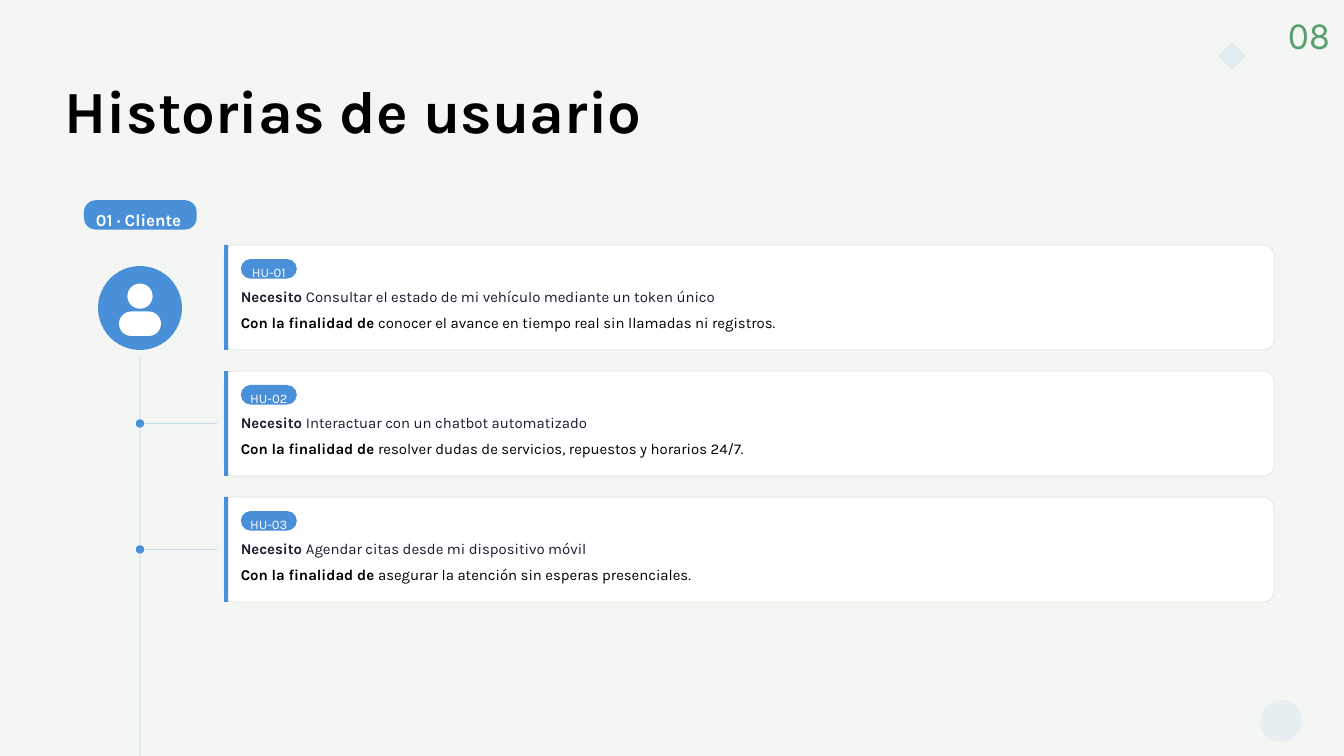
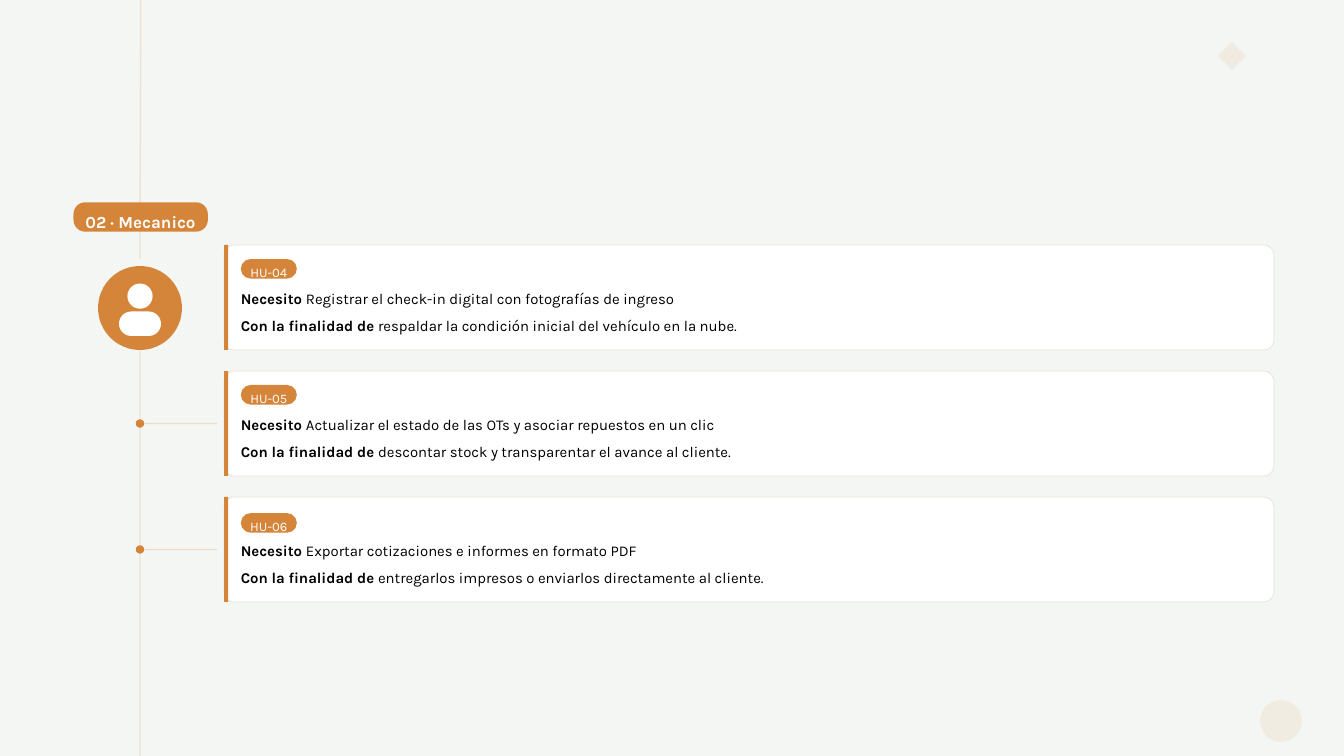
from dataclasses import dataclass
from typing import Optional

from lxml.etree import SubElement
from pptx import Presentation
from pptx.dml.color import RGBColor
from pptx.enum.shapes import MSO_CONNECTOR, MSO_SHAPE
from pptx.enum.text import MSO_ANCHOR, MSO_AUTO_SIZE, PP_ALIGN
from pptx.oxml.ns import qn
from pptx.shapes.autoshape import Shape
from pptx.slide import Slide
from pptx.text.text import TextFrame
from pptx.util import Emu, Pt

OVAL, DIAMOND = MSO_SHAPE.OVAL, MSO_SHAPE.DIAMOND
RECTANGLE, ROUNDED = MSO_SHAPE.RECTANGLE, MSO_SHAPE.ROUNDED_RECTANGLE
LEFT, CENTER = PP_ALIGN.LEFT, PP_ALIGN.CENTER
TITLE_ONLY, BLANK = 5, 6
EMU_PER_PX = 9525


@dataclass(frozen=True)
class Theme:
    background: str = "F4F6F3"
    white: str = "FFFFFF"
    black: str = "000000"
    navy: str = "1A1A2E"
    border: str = "E3E1DA"
    green: str = "5A9E72"
    blue: str = "4A90D9"
    light_blue: str = "A3C8ED"
    orange: str = "D4853A"
    light_orange: str = "E8C4A0"
    font: str = "Karla"
    number_font: str = "Inter"
    title_size: float = 64
    number_size: float = 36
    tag_size: float = 18.1
    story_size: float = 16
    badge_size: float = 14


THEME = Theme()


@dataclass(frozen=True)
class Box:
    left: int
    top: int
    width: int
    height: int

    def emu(self) -> tuple[Emu, ...]:
        return tuple(px(n) for n in (self.left, self.top, self.width, self.height))


@dataclass(frozen=True)
class Story:
    code: str
    need: str
    purpose: str
    badge_drop: int = 0


@dataclass(frozen=True)
class Role:
    tag: str
    tag_box: Box
    color: str
    light: str
    need_color: str
    need_offset: int
    rail_top: int
    disc_opacity: int
    stories: tuple[Story, ...]
    rail_above: bool = False
    title: Optional[str] = None
    number: Optional[str] = None


RAIL_X = 200
CARD = Box(320, 350, 1500, 150)
CARD_PITCH = 180
TEXT_LEFT = 344

ROLES = (
    Role("01 · Cliente", Box(120, 286, 161, 42), THEME.blue, THEME.light_blue,
         THEME.navy, need_offset=58, rail_top=510, disc_opacity=15,
         title="Historias de usuario", number="08", stories=(
             Story("HU-01", "Consultar el estado de mi vehículo mediante un token único",
                   "conocer el avance en tiempo real sin llamadas ni registros."),
             Story("HU-02", "Interactuar con un chatbot automatizado",
                   "resolver dudas de servicios, repuestos y horarios 24/7."),
             Story("HU-03", "Agendar citas desde mi dispositivo móvil",
                   "asegurar la atención sin esperas presenciales."))),
    Role("02 · Mecanico", Box(105, 289, 192, 42), THEME.orange, THEME.light_orange,
         THEME.black, need_offset=62, rail_top=500, disc_opacity=20,
         rail_above=True, stories=(
             Story("HU-04", "Registrar el check-in digital con fotografías de ingreso",
                   "respaldar la condición inicial del vehículo en la nube."),
             Story("HU-05", "Actualizar el estado de las OTs y asociar repuestos en un clic",
                   "descontar stock y transparentar el avance al cliente."),
             Story("HU-06", "Exportar cotizaciones e informes en formato PDF",
                   "entregarlos impresos o enviarlos directamente al cliente.",
                   badge_drop=3))),
)


def px(length: int) -> Emu:
    return Emu(length * EMU_PER_PX)


def rgb(color: str) -> RGBColor:
    return RGBColor.from_string(color)


def set_opacity(shape, percent: int) -> None:
    for color in shape.element.iter(qn("a:srgbClr")):
        SubElement(color, qn("a:alpha"), val=str(percent * 1000))


def add_figure(page: Slide, kind: MSO_SHAPE, box: Box, fill: str, *,
               border: Optional[str] = None, corner: Optional[float] = None) -> Shape:
    """Draw a preset shape; corner is the radius as a share of the short side."""
    shape = page.shapes.add_shape(kind, *box.emu())
    shape.shadow.inherit = False
    shape.fill.solid()
    shape.fill.fore_color.rgb = rgb(fill)
    if border:
        shape.line.color.rgb = rgb(border)
        shape.line.width = Pt(0.75)
    else:
        shape.line.fill.background()
    if corner is not None:
        shape.adjustments[0] = corner
    return shape


def add_rule(page: Slide, start: tuple[int, int], end: tuple[int, int],
             color: str, opacity: int) -> None:
    rule = page.shapes.add_connector(
        MSO_CONNECTOR.STRAIGHT, *(px(n) for n in start + end))
    rule.line.color.rgb = rgb(color)
    rule.line.width = Pt(1.5)
    set_opacity(rule, opacity)
    SubElement(rule.element.spPr, qn("a:effectLst"))


def write_text(frame: TextFrame, text: str, *, size: float, color: str, leading: float,
               lead: str = "", bold: bool = False, font: str = THEME.font,
               align: PP_ALIGN = LEFT, inset: tuple[int, int] = (0, 0)) -> None:
    """Fill a frame with one paragraph: a bold lead, if any, and then the text."""
    frame.word_wrap = True
    frame.auto_size = MSO_AUTO_SIZE.NONE
    frame.vertical_anchor = MSO_ANCHOR.TOP
    frame.margin_left, frame.margin_top = (px(n) for n in inset)
    frame.margin_right = frame.margin_bottom = 0
    para = frame.paragraphs[0]
    para.alignment = align
    para.line_spacing = Pt(leading)
    spans = [(f"{lead} ", True)] if lead else []
    for words, strong in spans + [(text, bold)]:
        span = para.add_run()
        span.text = words
        span.font.name = font
        span.font.size = Pt(size)
        span.font.bold = strong
        span.font.color.rgb = rgb(color)


def add_label(page: Slide, box: Box, text: str, **text_format) -> None:
    write_text(page.shapes.add_textbox(*box.emu()).text_frame, text, **text_format)


def add_avatar(page: Slide, color: str) -> None:
    add_figure(page, OVAL, Box(RAIL_X - 60, 380, 120, 120), color)
    add_figure(page, OVAL, Box(RAIL_X - 18, 405, 36, 36), THEME.white)
    add_figure(page, ROUNDED, Box(RAIL_X - 30, 445, 60, 35), THEME.white, corner=0.5)


def add_branch(page: Slide, middle: int, role: Role) -> None:
    add_rule(page, (RAIL_X, middle), (310, middle), role.light, 50)
    add_figure(page, OVAL, Box(RAIL_X - 6, middle - 6, 12, 12), role.color)


def add_story(page: Slide, top: int, story: Story, role: Role) -> None:
    add_figure(page, ROUNDED, Box(CARD.left, top, CARD.width, CARD.height),
               THEME.white, border=THEME.border, corner=0.1)
    add_figure(page, RECTANGLE, Box(CARD.left, top, 6, CARD.height), role.color)
    badge = add_figure(page, ROUNDED, Box(TEXT_LEFT, top + 20 + story.badge_drop, 80, 28),
                       role.color, corner=0.5)
    write_text(badge.text_frame, story.code, size=THEME.badge_size,
               color=THEME.white, leading=19.6, align=CENTER)
    lines = (("Necesito", story.need, role.need_color),
             ("Con la finalidad de", story.purpose, THEME.black))
    for row, (lead, text, color) in enumerate(lines):
        add_label(page, Box(TEXT_LEFT, top + role.need_offset + row * 38, 1452, 26), text,
                  lead=lead, size=THEME.story_size, color=color, leading=20.8)


def add_decoration(page: Slide, role: Role) -> None:
    disc = add_figure(page, OVAL, Box(1800, 1000, 60, 60), role.light)
    set_opacity(disc, role.disc_opacity)
    set_opacity(add_figure(page, DIAMOND, Box(1740, 60, 40, 40), role.color), 10)


def add_title(page: Slide, text: str) -> None:
    title = page.shapes.title
    title.left, title.top, title.width, title.height = Box(81, 114, 847, 96).emu()
    write_text(title.text_frame, text, size=THEME.title_size, color=THEME.black,
               leading=70.4, bold=True, align=CENTER)


def add_role_page(deck, role: Role) -> None:
    page = deck.slides.add_slide(deck.slide_layouts[TITLE_ONLY if role.title else BLANK])
    if role.title:
        add_title(page, role.title)
    if role.number:
        add_label(page, Box(1840, 13, 64, 65), role.number, size=THEME.number_size,
                  color=THEME.green, leading=50.4, font=THEME.number_font)
    add_avatar(page, role.color)
    add_rule(page, (RAIL_X, role.rail_top), (RAIL_X, 1080), role.light, 40)
    if role.rail_above:
        add_rule(page, (RAIL_X + 1, 0), (RAIL_X, 370), role.light, 40)
    for index, story in enumerate(role.stories):
        top = CARD.top + index * CARD_PITCH
        if index:
            add_branch(page, top + CARD.height // 2, role)
        add_story(page, top, story, role)
    add_decoration(page, role)
    tag = add_figure(page, ROUNDED, role.tag_box, role.color, corner=0.4)
    write_text(tag.text_frame, role.tag, size=THEME.tag_size, color=THEME.white,
               leading=25.3, bold=True, inset=(12, 4))


def main() -> None:
    deck = Presentation()
    deck.slide_width, deck.slide_height = px(1920), px(1080)
    backdrop = deck.slide_master.background.fill
    backdrop.solid()
    backdrop.fore_color.rgb = rgb(THEME.background)
    for role in ROLES:
        add_role_page(deck, role)
    deck.save("out.pptx")


if __name__ == "__main__":
    main()
